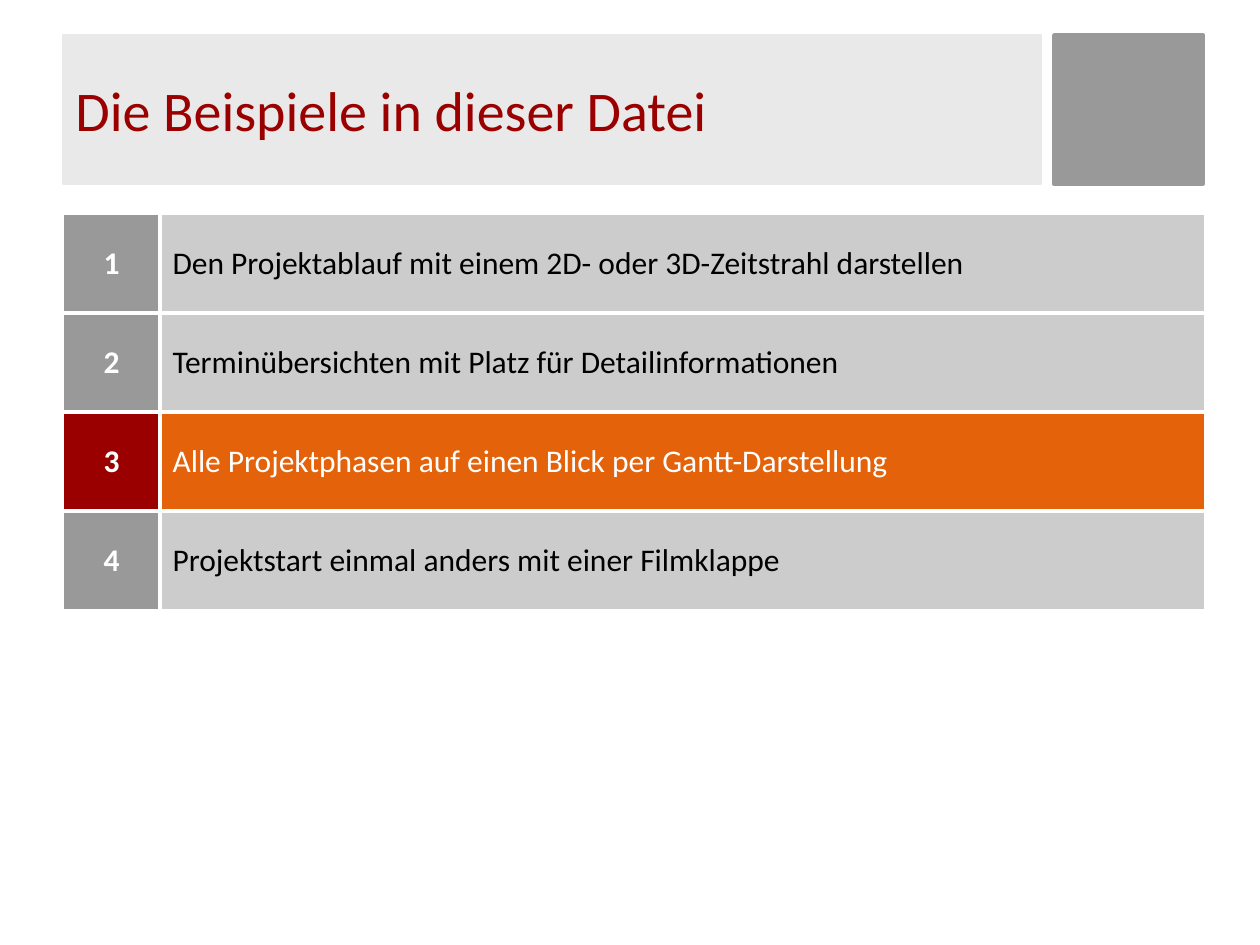
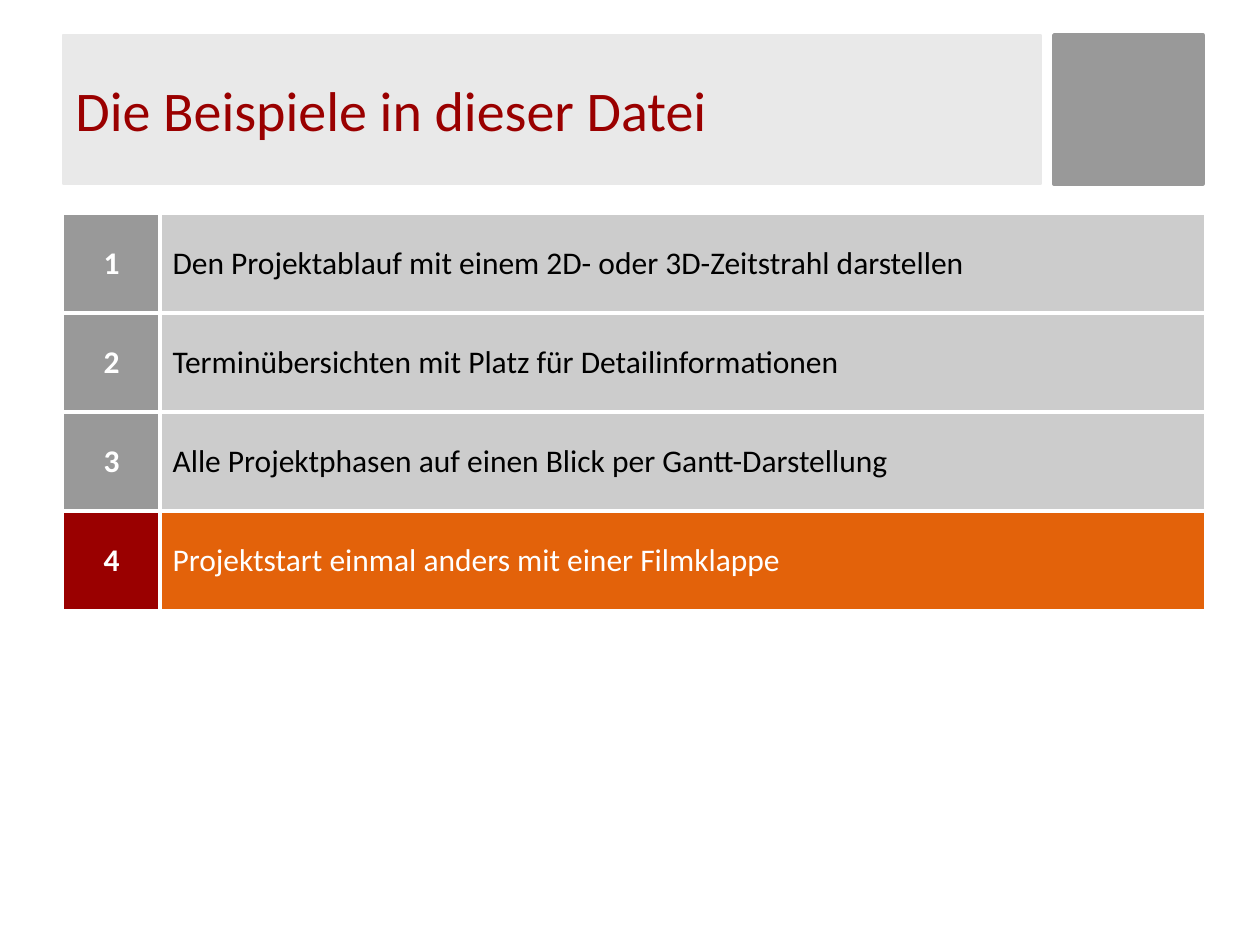
from lxml.etree import SubElement
from pptx import Presentation
from pptx.dml.color import RGBColor
from pptx.enum.shapes import MSO_SHAPE
from pptx.enum.text import MSO_ANCHOR, PP_ALIGN
from pptx.oxml import parse_xml
from pptx.oxml.ns import nsdecls, qn
from pptx.util import Pt

EMU_PER_PX = 914400 / 126
FONT = "Calibri"
WHITE = RGBColor(0xFF, 0xFF, 0xFF)
BLACK = RGBColor(0x00, 0x00, 0x00)
GRAY = RGBColor(0x99, 0x99, 0x99)
LIGHT_GRAY = RGBColor(0xCC, 0xCC, 0xCC)
PALE_GRAY = RGBColor(0xE9, 0xE9, 0xE9)
RED = RGBColor(0x9A, 0x00, 0x00)
ORANGE = RGBColor(0xE3, 0x62, 0x0A)

LEFT = 63
TITLE = "Die Beispiele in dieser Datei"
TOPICS = [
    "Den Projektablauf mit einem 2D- oder 3D-Zeitstrahl darstellen",
    "Terminübersichten mit Platz für Detailinformationen",
    "Alle Projektphasen auf einen Blick per Gantt-Darstellung",
    "Projektstart einmal anders mit einer Filmklappe",
]
ACTIVE_TOPICS = [3, 4]
COLUMN_WIDTHS = [97, 1045]
ROW_HEIGHT = 99
OUTER_LINE, INNER_LINE = 1, 3


def px(n):
    return round(n * EMU_PER_PX)


def write(tf, text, size=18, color=BLACK, bold=False, align=PP_ALIGN.LEFT):
    p = tf.paragraphs[0]
    p.alignment = align
    r = p.add_run()
    r.text = text
    r.font.name = FONT
    r.font.size = Pt(size)
    r.font.bold = bold
    r.font.color.rgb = color


def add_box(s, x, y, w, h, color, line_width):
    sp = s.shapes.add_shape(MSO_SHAPE.RECTANGLE, px(x), px(y), px(w), px(h))
    sp.shadow.inherit = False
    sp.fill.solid()
    sp.fill.fore_color.rgb = color
    sp.line.color.rgb = color
    sp.line.width = Pt(line_width)
    return sp


def add_header(s):
    add_box(s, 1054, 35, 149, 149, GRAY, 2)
    tf = add_box(s, LEFT, 35, 978, 149, PALE_GRAY, 0.75).text_frame
    tf.word_wrap = True
    tf.vertical_anchor = MSO_ANCHOR.MIDDLE
    write(tf, TITLE, size=32, color=RED)


def set_borders(cell, widths):
    """Draw white borders; widths maps the sides L, R, T, B to points."""
    tcPr = cell._tc.get_or_add_tcPr()
    for i, side in enumerate("LRTB"):
        ln = parse_xml(f'<a:ln{side} {nsdecls("a")} w="{int(Pt(widths[side]))}"/>')
        fill = SubElement(ln, qn("a:solidFill"))
        SubElement(fill, qn("a:srgbClr"), val=str(WHITE))
        tcPr.insert(i, ln)


def fill_cell(cell, text, background, **text_format):
    cell.fill.solid()
    cell.fill.fore_color.rgb = background
    cell.vertical_anchor = MSO_ANCHOR.MIDDLE
    write(cell.text_frame, text, **text_format)


def add_agenda(s, active):
    rows, cols = len(TOPICS), len(COLUMN_WIDTHS)
    table = s.shapes.add_table(rows, cols, px(LEFT), px(214),
                               px(sum(COLUMN_WIDTHS)), px(rows * ROW_HEIGHT)).table
    table.first_row = False
    table.horz_banding = False
    for column, width in zip(table.columns, COLUMN_WIDTHS):
        column.width = px(width)

    for i, topic in enumerate(TOPICS):
        table.rows[i].height = px(ROW_HEIGHT)
        is_active = i + 1 == active
        number_cell, topic_cell = table.cell(i, 0), table.cell(i, 1)
        fill_cell(number_cell, str(i + 1), RED if is_active else GRAY,
                  color=WHITE, bold=True, align=PP_ALIGN.CENTER)
        fill_cell(topic_cell, topic, ORANGE if is_active else LIGHT_GRAY,
                  color=WHITE if is_active else BLACK)
        top = OUTER_LINE if i == 0 else INNER_LINE
        bottom = OUTER_LINE if i == rows - 1 else INNER_LINE
        set_borders(number_cell, dict(L=OUTER_LINE, R=INNER_LINE, T=top, B=bottom))
        set_borders(topic_cell, dict(L=INNER_LINE, R=OUTER_LINE, T=top, B=bottom))


def main():
    prs = Presentation()
    prs.slide_width, prs.slide_height = px(1260), px(945)
    for active in ACTIVE_TOPICS:
        s = prs.slides.add_slide(prs.slide_layouts[6])
        add_header(s)
        add_agenda(s, active)
    prs.save("out.pptx")


if __name__ == "__main__":
    main()
